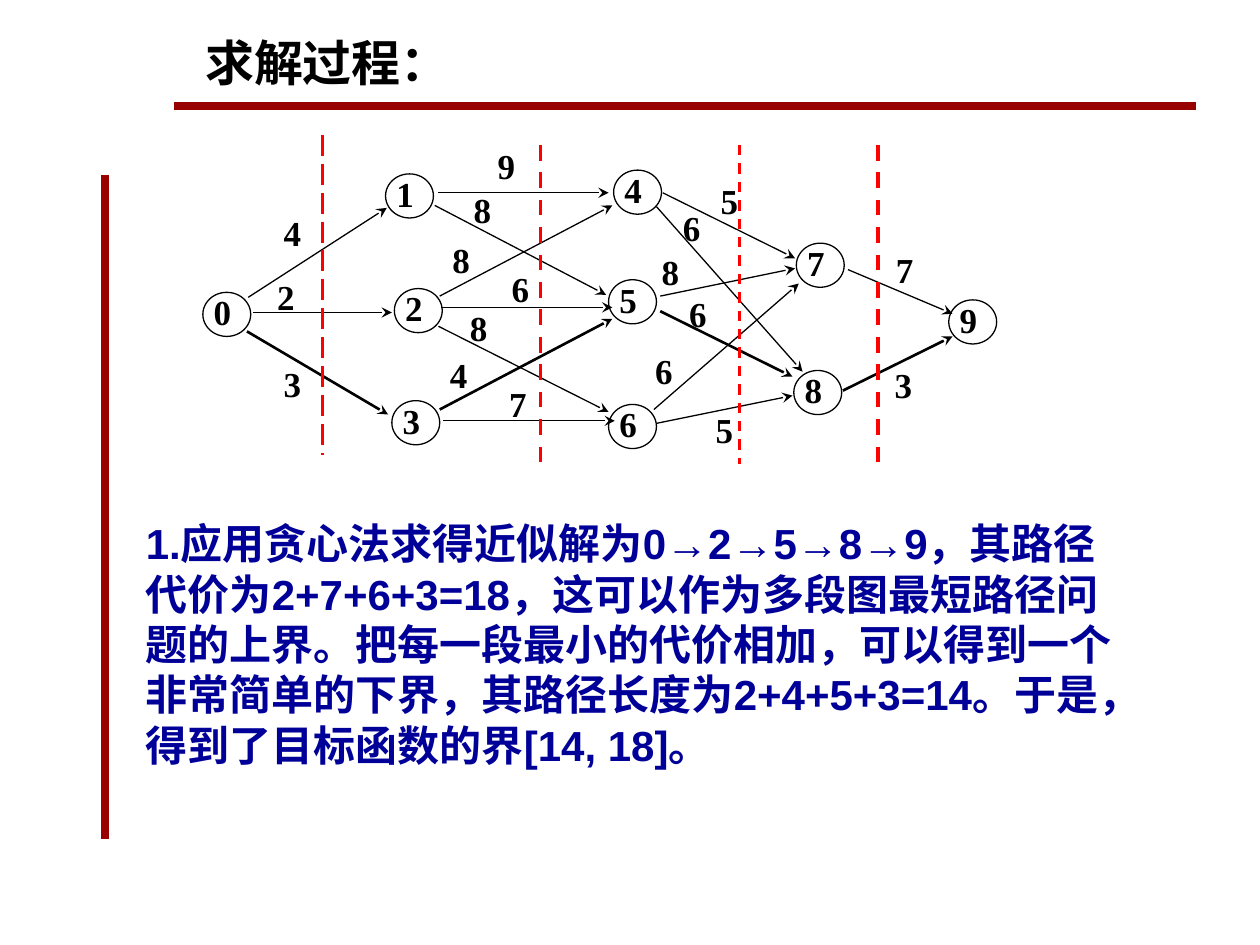
from dataclasses import dataclass
from typing import Any

from lxml import etree
from pptx import Presentation
from pptx.dml.color import RGBColor
from pptx.enum.dml import MSO_LINE
from pptx.enum.shapes import MSO_CONNECTOR, MSO_SHAPE
from pptx.enum.text import MSO_ANCHOR, MSO_AUTO_SIZE, PP_ALIGN
from pptx.oxml.ns import qn
from pptx.util import Inches, Pt

STRAIGHT = MSO_CONNECTOR.STRAIGHT
OVAL = MSO_SHAPE.OVAL
DASH, LONG_DASH = MSO_LINE.DASH, MSO_LINE.LONG_DASH
TOP = MSO_ANCHOR.TOP
GROW = MSO_AUTO_SIZE.SHAPE_TO_FIT_TEXT
JUSTIFY = PP_ALIGN.JUSTIFY

NODE_SIZE = (0.38, 0.35)
LABEL_SIZE = (0.21, 0.23)
THIN, BOLD = 0.75, 1.5

NODES = [
    (1.61, 2.32), (3.06, 1.38), (3.13, 2.29), (3.11, 3.18), (4.87, 1.35),
    (4.83, 2.22), (4.83, 3.21), (6.32, 1.93), (6.3, 2.94), (7.53, 2.38),
]

EDGES = [
    ((1.97, 2.36), (3.07, 1.65), THIN, 4, (2.25, 1.74)),
    ((2.01, 2.48), (3.11, 2.48), THIN, 2, (2.2, 2.25)),
    ((1.96, 2.63), (3.08, 3.29), BOLD, 3, (2.25, 2.94)),
    ((3.48, 1.53), (4.83, 1.53), THIN, 9, (3.95, 1.21)),
    ((3.45, 1.63), (4.81, 2.34), THIN, 8, (3.76, 1.56)),
    ((3.49, 2.35), (4.86, 1.63), THIN, 8, (3.59, 1.96)),
    ((3.5, 2.44), (4.86, 2.44), THIN, 6, (4.06, 2.19)),
    ((3.48, 2.59), (4.83, 3.27), THIN, 8, (3.73, 2.5)),
    ((3.49, 3.25), (4.86, 2.53), BOLD, 4, (3.57, 2.87)),
    ((3.52, 3.34), (4.88, 3.34), THIN, 7, (4.04, 3.1)),
    ((5.26, 1.53), (6.31, 2.05), THIN, 5, (5.72, 1.49)),
    ((5.21, 1.64), (6.37, 2.95), THIN, 6, (5.42, 1.7)),
    ((5.24, 2.35), (6.31, 2.13), THIN, 8, (5.25, 2.05)),
    ((5.24, 2.47), (6.29, 2.99), BOLD, 6, (5.47, 2.39)),
    ((5.19, 3.25), (6.34, 2.25), THIN, 6, (5.2, 2.84)),
    ((5.21, 3.36), (6.29, 3.14), THIN, 5, (5.68, 3.31)),
    ((6.73, 2.14), (7.56, 2.49), THIN, 7, (7.11, 2.04)),
    ((6.69, 3.1), (7.56, 2.67), BOLD, 3, (7.1, 2.95)),
]

STAGE_CUTS = [
    (2.56, 1.07, 3.61, 1.5, LONG_DASH),
    (4.29, 1.15, 3.68, 2.25, DASH),
    (5.87, 1.15, 3.68, 1.5, DASH),
    (6.97, 1.15, 3.68, 2.25, DASH),
]

EXPLANATION = (
    "1.应用贪心法求得近似解为0→2→5→8→9，其路径代价为2+7+6+3=18，"
    "这可以作为多段图最短路径问题的上界。把每一段最小的代价相加，"
    "可以得到一个非常简单的下界，其路径长度为2+4+5+3=14。"
    "于是，得到了目标函数的界[14, 18]。"
)


def colour(value):
    return RGBColor.from_string(value)


@dataclass
class GraphSlide:
    """Draws the parts of a multistage graph on one slide."""

    page: Any
    ink: str = "000000"
    rule: str = "990000"
    cut: str = "FF0000"
    body: str = "000099"
    digit_font: str = "Times New Roman"
    text_font: str = "Arial"

    def fill_text(self, shape, text, font, size, shade):
        frame = shape.text_frame
        frame.word_wrap = True
        frame.vertical_anchor = TOP
        frame.text = text
        para = frame.paragraphs[0]
        for span in para.runs:
            span.font.name = font
            span.font.size = Pt(size)
            span.font.bold = True
            span.font.color.rgb = colour(shade)
        return frame

    def digit(self, shape, number, left_inset=0):
        frame = self.fill_text(shape, str(number), self.digit_font, 20, self.ink)
        frame.margin_left = Inches(left_inset)
        frame.margin_top = frame.margin_right = frame.margin_bottom = 0
        frame.paragraphs[0].alignment = JUSTIFY
        frame.paragraphs[0].line_spacing = 0.8

    def line(self, start, end, shade, width, dash=None):
        ends = [Inches(value) for value in (*start, *end)]
        connector = self.page.shapes.add_connector(STRAIGHT, *ends)
        connector.line.color.rgb = colour(shade)
        connector.line.width = Pt(width)
        if dash is not None:
            connector.line.dash_style = dash
        properties = connector._element.spPr
        etree.SubElement(properties, qn("a:effectLst"))
        return properties

    def arrow(self, start, end, width):
        properties = self.line(start, end, self.ink, width)
        outline = properties.find(qn("a:ln"))
        etree.SubElement(outline, qn("a:tailEnd"), type="stealth")

    def node(self, place, number):
        bounds = [Inches(value) for value in (*place, *NODE_SIZE)]
        circle = self.page.shapes.add_shape(OVAL, *bounds)
        circle.shadow.inherit = False
        circle.fill.background()
        circle.line.color.rgb = colour(self.ink)
        circle.line.width = Pt(THIN)
        self.digit(circle, number, 0.03)

    def textbox(self, place, size):
        bounds = [Inches(value) for value in (*place, *size)]
        return self.page.shapes.add_textbox(*bounds)

    def cost(self, place, number):
        self.digit(self.textbox(place, LABEL_SIZE), number)

    def paragraph(self, place, size, text, points, shade):
        box = self.textbox(place, size)
        frame = self.fill_text(box, text, self.text_font, points, shade)
        frame.auto_size = GROW


def main():
    deck = Presentation()
    deck.slide_width, deck.slide_height = Inches(10), Inches(7.5)
    graph = GraphSlide(deck.slides.add_slide(deck.slide_layouts[6]))

    graph.line((1.38, 0.84), (9.49, 0.84), graph.rule, 4.5)
    graph.line((0.83, 1.39), (0.83, 6.66), graph.rule, 4.5)
    for number, place in enumerate(NODES):
        graph.node(place, number)
    for start, end, width, cost, place in EDGES:
        graph.arrow(start, end, width)
        graph.cost(place, cost)
    for x, top, bottom, width, dash in STAGE_CUTS:
        graph.line((x, top), (x, bottom), graph.cut, width, dash)

    graph.paragraph((1.53, 0.21), (6.77, 0.57), "求解过程：", 28, graph.ink)
    graph.paragraph((1.06, 4.06), (7.87, 2.1), EXPLANATION, 24, graph.body)
    deck.save("out.pptx")


if __name__ == "__main__":
    main()
